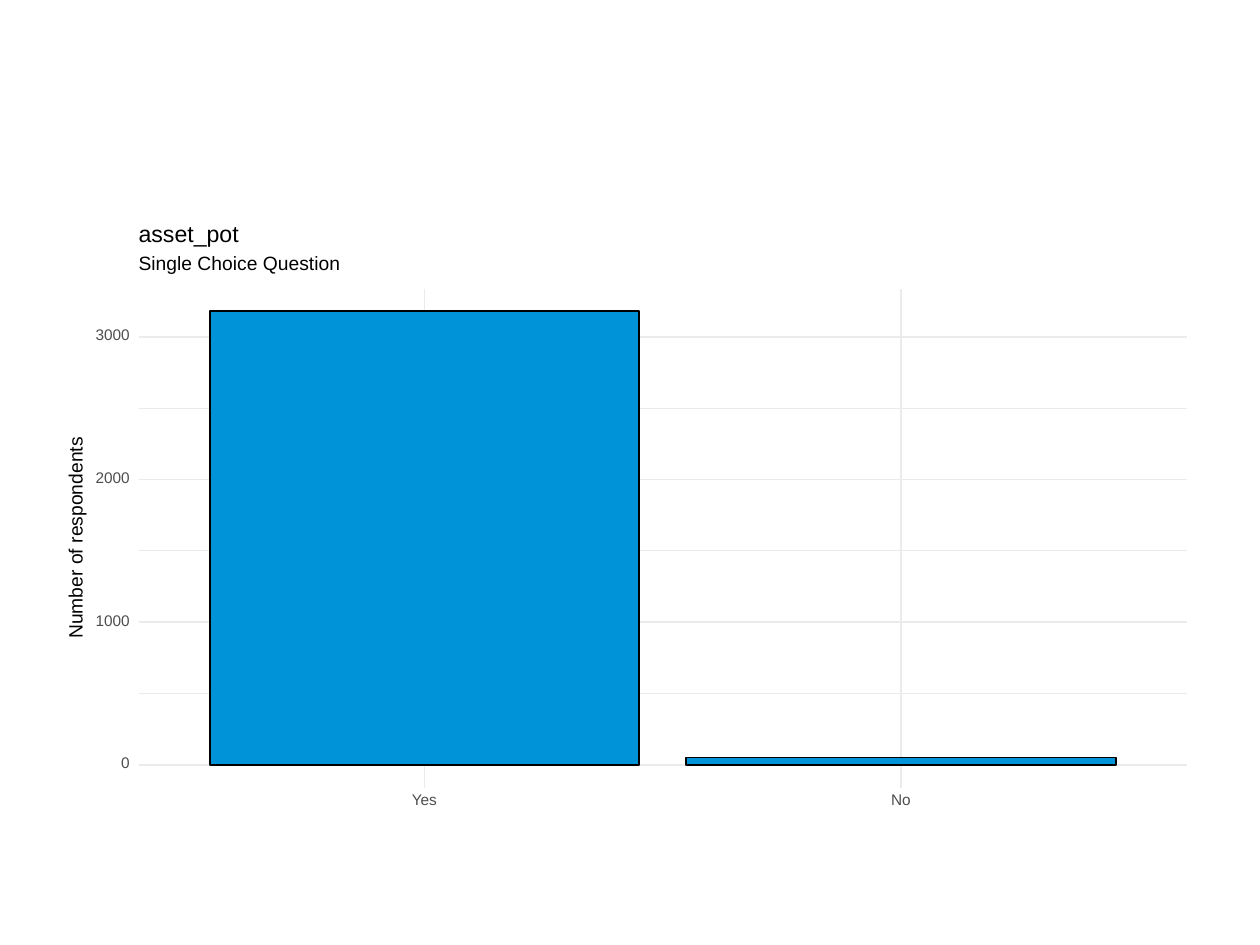
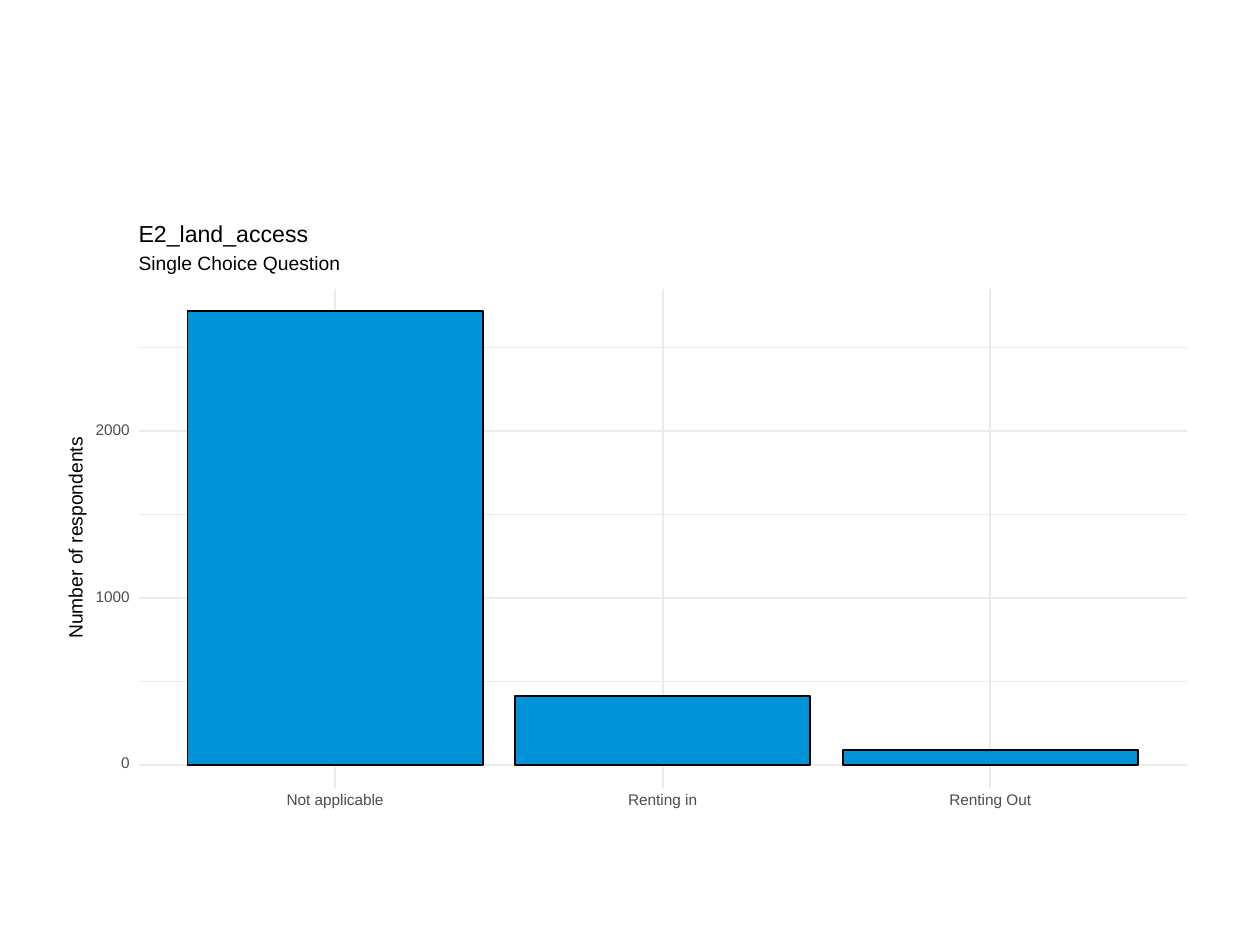
from collections import namedtuple

from lxml import etree
from pptx import Presentation
from pptx.chart.data import CategoryChartData
from pptx.dml.color import RGBColor
from pptx.enum.chart import XL_CHART_TYPE
from pptx.enum.shapes import MSO_CONNECTOR
from pptx.enum.text import MSO_ANCHOR, MSO_AUTO_SIZE, PP_ALIGN
from pptx.oxml import parse_xml
from pptx.oxml.ns import nsdecls, qn
from pptx.util import Inches, Pt

COLUMN_CHART = XL_CHART_TYPE.COLUMN_CLUSTERED
STRAIGHT = MSO_CONNECTOR.STRAIGHT
MIDDLE = MSO_ANCHOR.MIDDLE
NO_RESIZE = MSO_AUTO_SIZE.NONE
LEFT, CENTER, RIGHT = PP_ALIGN.LEFT, PP_ALIGN.CENTER, PP_ALIGN.RIGHT

BLACK = RGBColor(0x00, 0x00, 0x00)
GRAY = RGBColor(0x4D, 0x4D, 0x4D)
GRID = RGBColor(0xEB, 0xEB, 0xEB)
BLUE = RGBColor(0x00, 0x93, 0xD8)
FONT = "Arial"
TITLE_SIZE, TEXT_SIZE, LABEL_SIZE = 13.2, 11, 8.8
MAJOR_LINE, MINOR_LINE = 1.07, 0.53

SLIDE_WIDTH, SLIDE_HEIGHT = 10, 7.5
MAJOR_STEP, MINOR_STEP = 1000, 500
INDENT = 0.6         # from the figure's left edge to the panel
MARGIN = 0.05        # free share of the peak above the bars and below zero
SIDE = 0.1           # free category widths at each side of the panel
GAP_PERCENT = 11

Box = namedtuple("Box", "left top width height")
FIGURE = Box(0.05 * SLIDE_WIDTH, 1.75, 0.9 * SLIDE_WIDTH, 0.66 * SLIDE_HEIGHT)

QUESTIONS = [
    ("asset_pot", {"Yes": 3180, "No": 50}),
    ("E2_land_access", {"Not applicable": 2720, "Renting in": 410, "Renting Out": 90}),
]


def place(shape, box):
    shape.left, shape.top = Inches(box.left), Inches(box.top)
    shape.width, shape.height = Inches(box.width), Inches(box.height)


def write(shape, text, size, color, align):
    """Fill a shape with one line of text without insets."""
    frame = shape.text_frame
    frame.margin_left = frame.margin_right = frame.margin_top = frame.margin_bottom = 0
    frame.word_wrap = False
    frame.auto_size = NO_RESIZE
    frame.vertical_anchor = MIDDLE
    para = frame.paragraphs[0]
    para.alignment = align
    para.line_spacing = Pt(size)
    para.space_before = Pt(0)
    span = para.add_run()
    span.text = text
    span.font.name, span.font.size = FONT, Pt(size)
    span.font.color.rgb = color


def add_label(page, box, text, size=LABEL_SIZE, color=GRAY, align=CENTER):
    label = page.shapes.add_textbox(*(Inches(length) for length in box))
    write(label, text, size, color, align)
    return label


def add_grid_line(page, x1, y1, x2, y2, weight):
    line = page.shapes.add_connector(STRAIGHT, *(Inches(v) for v in (x1, y1, x2, y2)))
    line.line.color.rgb = GRID
    line.line.width = Pt(weight)
    etree.SubElement(line._element.spPr, qn("a:effectLst"))


def add_headings(page, box, title):
    """Title, subtitle and turned axis title around the panel."""
    indent = box.left + INDENT
    place(page.shapes.title, Box(indent, box.top + 0.04, 1.6, 0.16))
    write(page.shapes.title, title, TITLE_SIZE, BLACK, LEFT)
    add_label(page, Box(indent, box.top + 0.28, 1.6, 0.14),
              "Single Choice Question", TEXT_SIZE, BLACK, LEFT)
    axis_title = add_label(page, Box(box.left - 0.69, box.top + 2.45, 1.6, 0.14),
                           "Number of respondents", TEXT_SIZE, BLACK, LEFT)
    axis_title.rotation = 270


def add_grid(page, panel, answers):
    """Grid lines and axis labels, spaced by the data."""
    peak = max(answers.values())
    right, bottom = panel.left + panel.width, panel.top + panel.height
    per_unit = panel.height / (peak * (1 + 2 * MARGIN))
    zero = bottom - peak * MARGIN * per_unit

    for value in range(0, peak, MINOR_STEP):
        y = zero - value * per_unit
        is_major = value % MAJOR_STEP == 0
        add_grid_line(page, panel.left, y, right, y, MAJOR_LINE if is_major else MINOR_LINE)
        if is_major:
            add_label(page, Box(panel.left - 0.35, y - 0.05, 0.28, 0.09),
                      str(value), align=RIGHT)

    column = panel.width / (len(answers) + 2 * SIDE)
    for index, answer in enumerate(answers):
        x = panel.left + (SIDE + index + 0.5) * column
        add_grid_line(page, x, panel.top, x, bottom, MAJOR_LINE)
        add_label(page, Box(x - 0.4, bottom + 0.05, 0.8, 0.11), answer)


def fit_plot(chart, count):
    """Pin the plot area inside the panel and clear the backgrounds."""
    columns = count + 2 * SIDE
    shares = {"x": SIDE / columns, "y": 0, "w": count / columns,
              "h": (1 + MARGIN) / (1 + 2 * MARGIN)}
    modes = '<c:xMode val="edge"/><c:yMode val="edge"/>'
    sizes = "".join(f'<c:{key} val="{share:.4f}"/>' for key, share in shares.items())
    plot_area = chart._chartSpace.chart.plotArea
    for old in plot_area.findall(qn("c:layout")):
        plot_area.remove(old)
    plot_area.insert(0, parse_xml(
        f'<c:layout {nsdecls("c")}><c:manualLayout><c:layoutTarget val="inner"/>'
        f"{modes}{sizes}</c:manualLayout></c:layout>"))
    clear = (f'<c:spPr {nsdecls("c", "a")}><a:noFill/>'
             "<a:ln><a:noFill/></a:ln></c:spPr>")
    plot_area.append(parse_xml(clear))
    chart._chartSpace.chart.addnext(parse_xml(clear))


def add_bars(page, panel, answers):
    data = CategoryChartData()
    data.categories = list(answers)
    data.add_series("Number of respondents", list(answers.values()))
    chart = page.shapes.add_chart(
        COLUMN_CHART, *(Inches(length) for length in panel), data).chart
    chart.has_title = chart.has_legend = False
    chart.font.name, chart.font.size = FONT, Pt(LABEL_SIZE)
    chart.font.color.rgb = GRAY

    # The labels and lines of the grid stand in for the axes
    values = chart.value_axis
    values.minimum_scale = 0
    values.maximum_scale = round(max(answers.values()) * (1 + MARGIN), 2)
    values.has_major_gridlines = False
    values.visible = chart.category_axis.visible = False

    plot = chart.plots[0]
    plot.gap_width = GAP_PERCENT
    plot.vary_by_categories = False
    bars = plot.series[0]
    bars.invert_if_negative = False
    bars.format.fill.solid()
    bars.format.fill.fore_color.rgb = BLUE
    bars.format.line.color.rgb = BLACK
    bars.format.line.width = Pt(MAJOR_LINE)
    fit_plot(chart, len(answers))


def add_question(deck, box, title, answers):
    page = deck.slides.add_slide(deck.slide_layouts.get_by_name("Title Only"))
    panel = Box(box.left + INDENT, box.top + 0.54, 8.32, 0.8 * box.height)
    add_grid(page, panel, answers)
    add_bars(page, panel, answers)
    add_headings(page, box, title)


def main():
    deck = Presentation()
    deck.slide_width, deck.slide_height = Inches(SLIDE_WIDTH), Inches(SLIDE_HEIGHT)
    for title, answers in QUESTIONS:
        add_question(deck, FIGURE, title, answers)
    deck.save("out.pptx")


if __name__ == "__main__":
    main()
